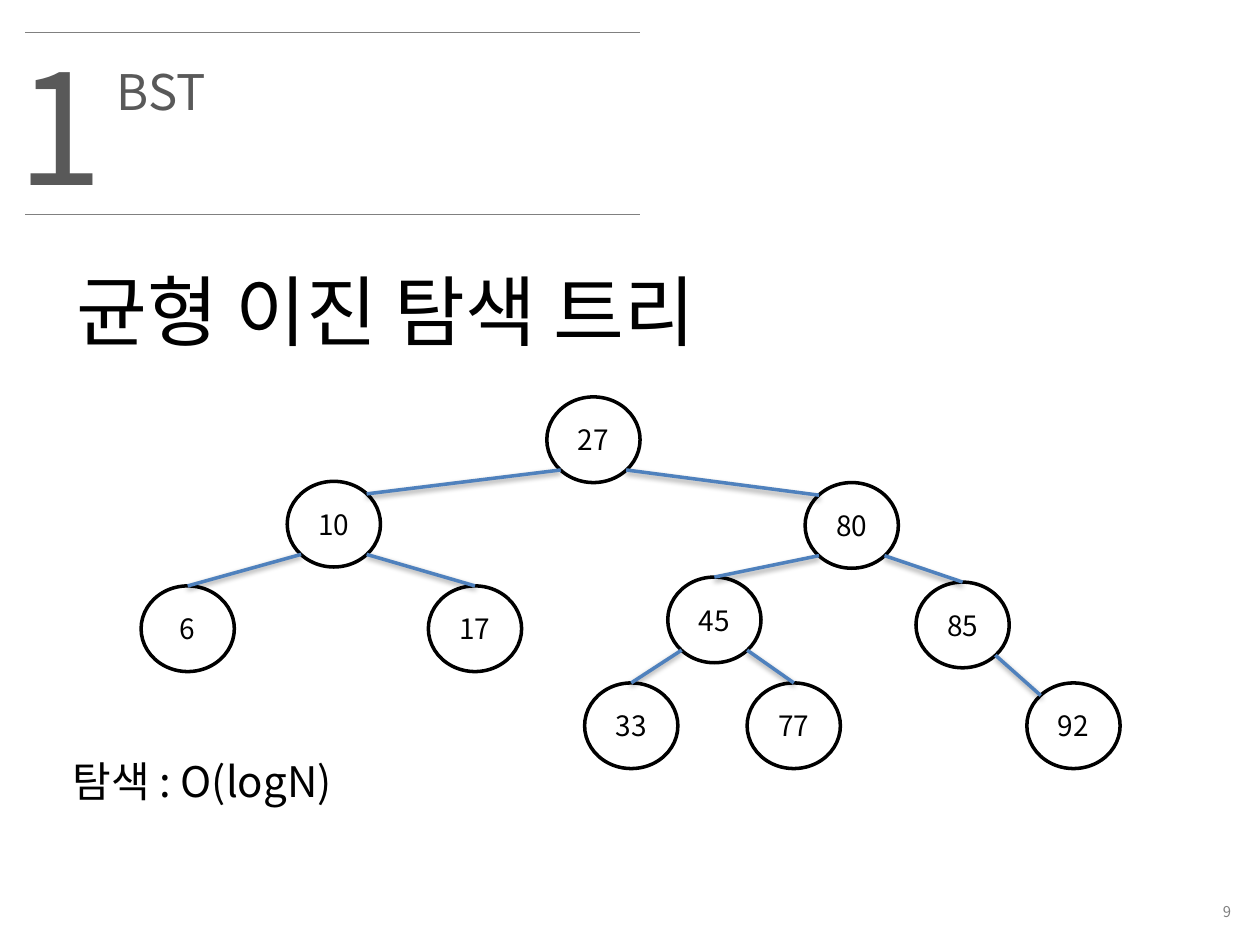
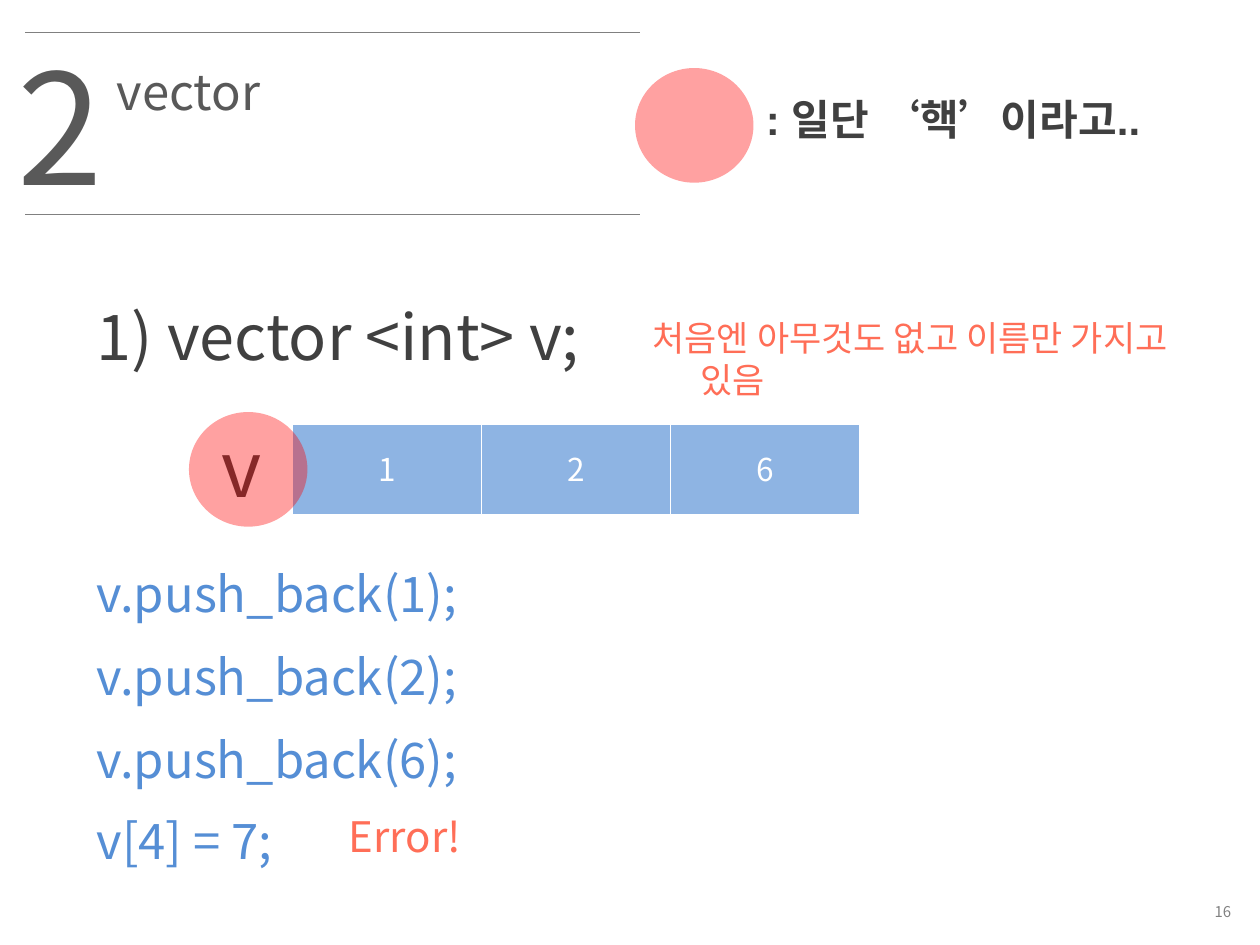
from lxml.etree import SubElement
from pptx import Presentation
from pptx.dml.color import RGBColor
from pptx.enum.shapes import MSO_CONNECTOR, MSO_SHAPE
from pptx.enum.text import MSO_ANCHOR, MSO_AUTO_SIZE, PP_ALIGN
from pptx.oxml.ns import qn
from pptx.util import Pt

PX = 9144
FONT = "Noto Sans CJK KR"
COLORS = {
    "black": "000000",
    "white": "FFFFFF",
    "rule": "808080",
    "heading": "595959",
    "body": "404040",
    "edge": "4F81BD",
    "code": "558ED5",
    "cell": "8EB4E3",
    "alert": "FF6E57",
    "core": "FF0000",
}


def add_text(page, bounds, text, size, color, shape_kind=None, hanging=False,
             align=PP_ALIGN.LEFT, anchor=MSO_ANCHOR.TOP, bold=False, font=FONT):
    left, top, width, height = [value * PX for value in bounds]
    if shape_kind is None:
        box = page.shapes.add_textbox(left, top, width, height)
    else:
        box = page.shapes.add_shape(shape_kind, left, top, width, height)
        box.shadow.inherit = False
    frame = box.text_frame
    frame.word_wrap = True
    frame.vertical_anchor = anchor
    if shape_kind is None and anchor == MSO_ANCHOR.TOP:
        frame.auto_size = MSO_AUTO_SIZE.SHAPE_TO_FIT_TEXT
    para = frame.paragraphs[0]
    para.alignment = align
    if hanging:
        properties = para._p.get_or_add_pPr()
        properties.set("marL", str(38 * PX))
        properties.set("indent", str(-38 * PX))
    span = para.add_run()
    span.text = text
    span.font.size = Pt(size)
    span.font.bold = bold
    span.font.name = font
    span.font.color.rgb = RGBColor.from_string(COLORS[color])
    SubElement(span._r.get_or_add_rPr(), qn("a:ea"), typeface=FONT)
    return box


def add_line(page, start, end, color, weight):
    line = page.shapes.add_connector(
        MSO_CONNECTOR.STRAIGHT, *[value * PX for value in (*start, *end)])
    line.line.color.rgb = RGBColor.from_string(COLORS[color])
    line.line.width = Pt(weight)
    return SubElement(line._element.spPr, qn("a:effectLst"))


deck = Presentation()
deck.slide_width = 1000 * PX
deck.slide_height = 750 * PX

pages = []
for section, title, title_width, number in (("1", "BST", 283, "9"), ("2", "vector", 449, "16")):
    page = deck.slides.add_slide(deck.slide_layouts[6])
    add_text(page, (776, 710, 211, 27), number, 8.5, "rule",
             align=PP_ALIGN.RIGHT, anchor=MSO_ANCHOR.MIDDLE)
    for rule_top in (26, 170):
        add_line(page, (20, rule_top), (508, rule_top), "rule", 0.75)
    add_text(page, (83, 44, title_width, 57), title, 28, "heading", hanging=True)
    add_text(page, (4, 20, 79, 158), section, 88, "heading", hanging=True)
    pages.append(page)
tree_page, vector_page = pages

add_text(tree_page, (51, 204, 795, 84), "균형 이진 탐색 트리", 44, "black")
add_text(tree_page, (48, 595, 255, 50), "탐색 : O(logN)", 24, "black")

NODE_WIDTH, NODE_HEIGHT = 74, 68
DIAGONAL_X, DIAGONAL_Y = 26, 24
nodes = {
    27: (434, 315), 10: (228, 382), 80: (639, 383), 6: (112, 465), 17: (340, 465),
    45: (530, 458), 85: (727, 462), 33: (464, 542), 77: (593, 542), 92: (815, 542),
}
for value, (left, top) in nodes.items():
    node = add_text(tree_page, (left, top, NODE_WIDTH, NODE_HEIGHT), str(value), 16, "black",
                    MSO_SHAPE.OVAL, align=PP_ALIGN.CENTER, anchor=MSO_ANCHOR.MIDDLE)
    node.fill.background()
    node.line.color.rgb = RGBColor.from_string(COLORS["black"])
    node.line.width = Pt(2)

edges = [(27, 10), (27, 80), (10, 6), (10, 17), (80, 45), (80, 85), (45, 33), (45, 77), (85, 92)]
corner_joined = {10, 80, 92}
for parent, child in edges:
    (parent_x, parent_y), (child_x, child_y) = [
        (nodes[value][0] + NODE_WIDTH // 2, nodes[value][1] + NODE_HEIGHT // 2)
        for value in (parent, child)]
    side = 1 if child_x > parent_x else -1
    start = (parent_x + side * DIAGONAL_X, parent_y + DIAGONAL_Y)
    if child in corner_joined:
        end = (child_x - side * DIAGONAL_X, child_y - DIAGONAL_Y)
    else:
        end = (child_x, child_y - NODE_HEIGHT // 2)
    effects = add_line(tree_page, start, end, "edge", 2)
    shadow = SubElement(effects, qn("a:outerShdw"), blurRad="40000", dist="20000",
                        dir="5400000", rotWithShape="0")
    shadow_color = SubElement(shadow, qn("a:srgbClr"), val=COLORS["black"])
    SubElement(shadow_color, qn("a:alpha"), val="38000")

add_text(vector_page, (67, 231, 441, 71), "1) vector <int> v;", 36, "body")
add_text(vector_page, (508, 246, 441, 44), "처음엔 아무것도 없고 이름만 가지고 있음",
         20, "alert", hanging=True)
add_text(vector_page, (166, 329, 63, 84), "v", 44, "body")

for index, value in enumerate(("1", "2", "6")):
    cell = add_text(vector_page, (232 + 150 * index, 337, 150, 71), value, 18, "white",
                    MSO_SHAPE.RECTANGLE, align=PP_ALIGN.CENTER, anchor=MSO_ANCHOR.MIDDLE)
    cell.fill.solid()
    cell.fill.fore_color.rgb = RGBColor.from_string(COLORS["cell"])
    cell.line.color.rgb = RGBColor.from_string(COLORS["white"])
    cell.line.width = Pt(0.25)

statements = ("v.push_back(1);", "v.push_back(2);", "v.push_back(6);", "v[4] = 7;")
for statement, top in zip(statements, (442, 508, 574, 638)):
    add_text(vector_page, (67, top, 410, 57), statement, 28, "code")
add_text(vector_page, (248, 638, 147, 50), "Error!", 24, "alert",
         hanging=True, align=PP_ALIGN.CENTER)

for left, top in ((150, 327), (504, 54)):
    core = vector_page.shapes.add_shape(MSO_SHAPE.OVAL, left * PX, top * PX, 94 * PX, 91 * PX)
    core.shadow.inherit = False
    core.line.fill.background()
    core.fill.solid()
    core.fill.fore_color.rgb = RGBColor.from_string(COLORS["core"])
    core_color = core._element.spPr.find(qn("a:solidFill")).find(qn("a:srgbClr"))
    SubElement(core_color, qn("a:alpha"), val="37000")
add_text(vector_page, (598, 69, 402, 50), ": 일단 ‘핵’이라고..", 24, "body",
         bold=True, font="Arial")

deck.save("out.pptx")
